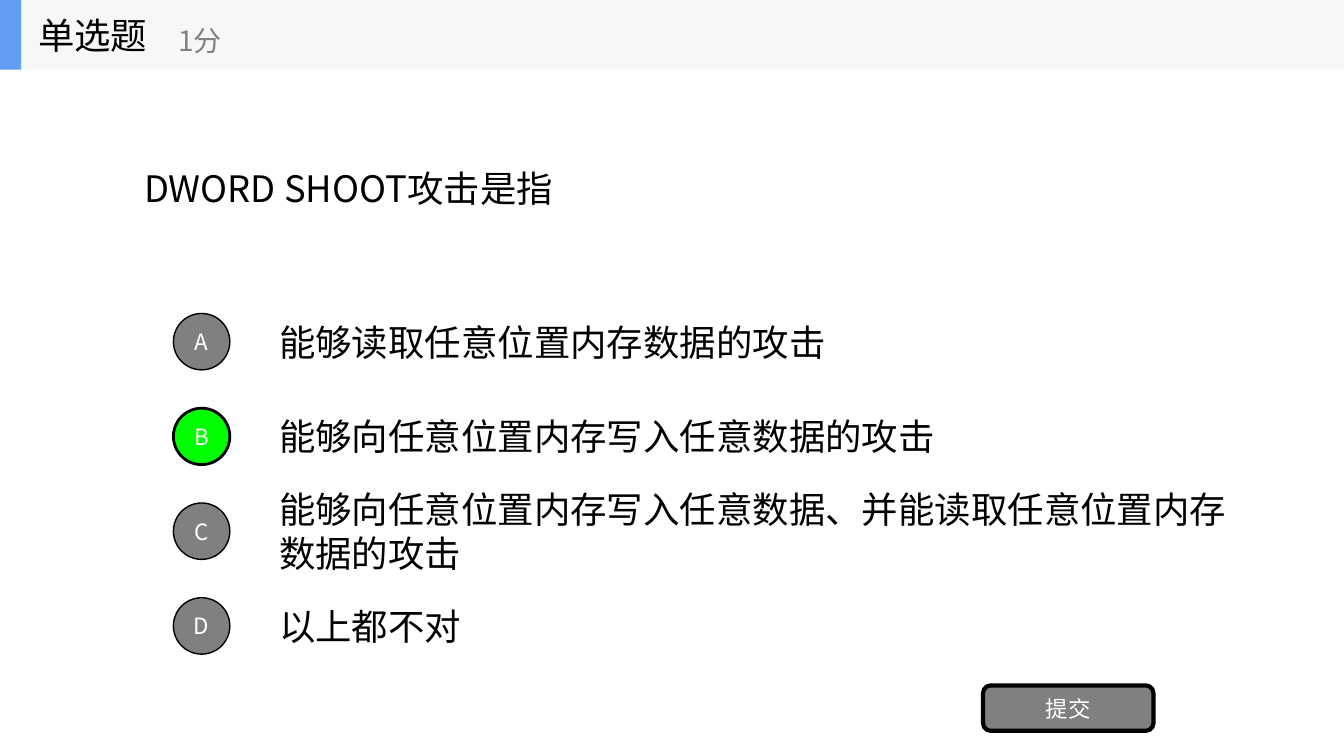
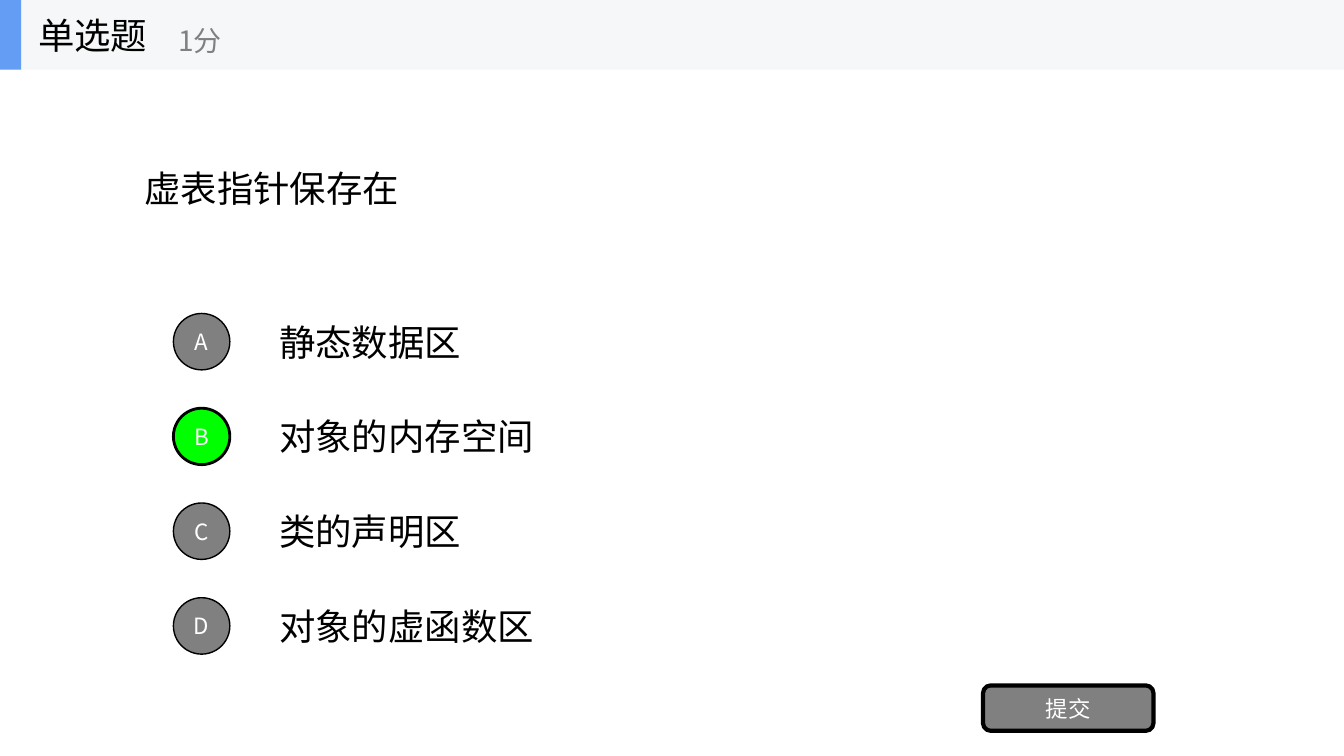
from dataclasses import dataclass

from lxml import etree
from pptx import Presentation
from pptx.dml.color import RGBColor
from pptx.enum import shapes, text
from pptx.oxml import ns
from pptx.util import Inches, Pt


@dataclass(frozen=True)
class Theme:
    font: str = "Noto Sans CJK SC"
    black: str = "000000"
    white: str = "FFFFFF"
    gray: str = "808080"
    green: str = "00FF00"
    band: str = "F6F7F8"
    accent: str = "639EF4"
    body: int = 26
    score: int = 20
    label: int = 16


THEME = Theme()
KIND = shapes.MSO_SHAPE
LEFT, CENTER = text.PP_ALIGN.LEFT, text.PP_ALIGN.CENTER

# Slide and answer grid, in inches
WIDTH, HEIGHT = 13.33, 7.5
BAND = 0.69
TOP, PITCH, ROW = 3.04, 0.94, 0.7
DOT = 0.56

# Question, answers, index of the right answer
QUIZ = [
    ("DWORD SHOOT攻击是指",
     ["能够读取任意位置内存数据的攻击",
      "能够向任意位置内存写入任意数据的攻击",
      "能够向任意位置内存写入任意数据、并能读取任意位置内存数据的攻击",
      "以上都不对"], 1),
    ("虚表指针保存在",
     ["静态数据区", "对象的内存空间", "类的声明区", "对象的虚函数区"], 1),
]


def color(code):
    return RGBColor.from_string(code)


def write(shape, words, size, ink, align=LEFT):
    """Set one line of text in the shared font, centred vertically."""
    frame = shape.text_frame
    frame.text = words
    frame.word_wrap = True
    frame.auto_size = text.MSO_AUTO_SIZE.NONE
    frame.vertical_anchor = text.MSO_ANCHOR.MIDDLE
    par = frame.paragraphs[0]
    par.alignment = align
    for run in par.runs:
        run.font.size = Pt(size)
        run.font.name = THEME.font
        run.font.color.rgb = color(ink)
        # Chinese glyphs take their own typeface setting
        east = etree.SubElement(run.font._element, ns.qn("a:ea"))
        east.set("typeface", THEME.font)


def label(parent, box, words, size=THEME.body, ink=THEME.black):
    write(parent.add_textbox(*map(Inches, box)), words, size, ink)


def block(parent, kind, box, fill, line=0):
    shape = parent.add_shape(kind, *map(Inches, box))
    shape.shadow.inherit = False
    shape.fill.solid()
    shape.fill.fore_color.rgb = color(fill)
    if line:
        shape.line.color.rgb = color(THEME.black)
        shape.line.width = Pt(line)
    else:
        shape.line.fill.background()
    return shape


def button(parent, kind, box, words, fill, line):
    shape = block(parent, kind, box, fill, line)
    frame = shape.text_frame
    frame.margin_left = frame.margin_right = 0
    frame.margin_top = frame.margin_bottom = 0
    write(shape, words, THEME.label, THEME.white, CENTER)


def header(slide):
    group = slide.shapes.add_group_shape().shapes
    block(group, KIND.RECTANGLE, (0, 0, WIDTH, BAND), THEME.band)
    block(group, KIND.RECTANGLE, (0, 0, 0.21, BAND), THEME.accent)
    label(group, (0.28, 0, 2.08, BAND), "单选题")
    label(group, (1.67, 0.12, 2.5, 0.56), "1分", THEME.score, THEME.gray)


def title(slide, words):
    shape = slide.shapes.title
    shape.left, shape.top = Inches(1.33), Inches(BAND)
    shape.width, shape.height = Inches(10.67), Inches(2.34)
    write(shape, words, THEME.body, THEME.black)


def choices(slide, answers, right):
    for row, (mark, words) in enumerate(zip("ABCD", answers)):
        top = TOP + row * PITCH
        label(slide.shapes, (2.67, top, 9.75, ROW), words)
        fill, line = (THEME.green, 2) if row == right else (THEME.gray, 1)
        box = (1.72, top + (ROW - DOT) / 2, DOT, DOT)
        button(slide.shapes, KIND.OVAL, box, mark, fill, line)


def main():
    deck = Presentation()
    deck.slide_width, deck.slide_height = Inches(WIDTH), Inches(HEIGHT)
    layout = deck.slide_layouts.get_by_name("Title Only")
    for question, answers, right in QUIZ:
        slide = deck.slides.add_slide(layout)
        title(slide, question)
        choices(slide, answers, right)
        button(slide.shapes, KIND.ROUNDED_RECTANGLE,
               (9.75, 6.8, 1.69, 0.45), "提交", THEME.gray, 3)
        header(slide)
    deck.save("out.pptx")


if __name__ == "__main__":
    main()
